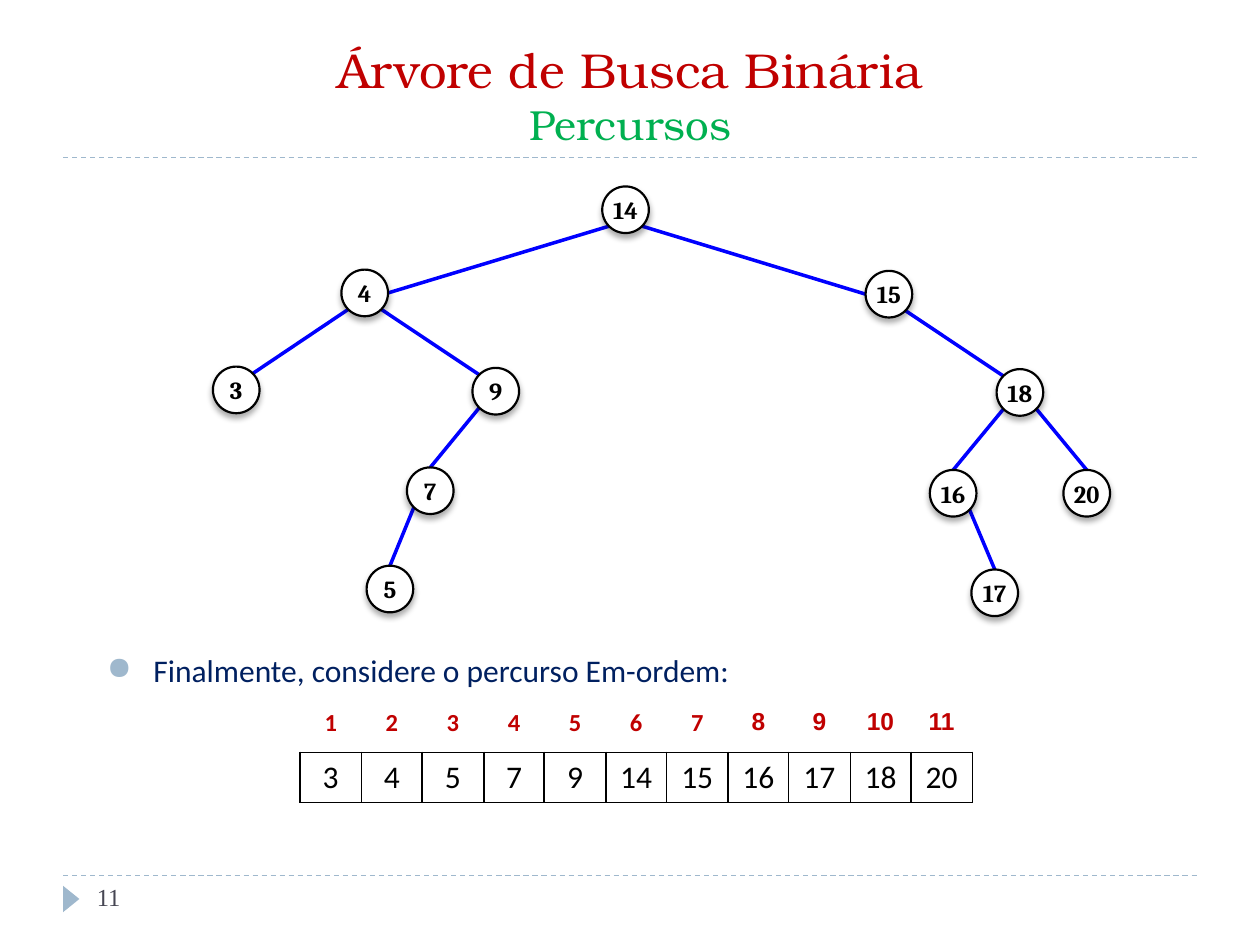
"""Build the slide on in-order traversal of a binary search tree."""
import pptx
import pptx.util
import pptx.dml.color
import pptx.enum.dml
import pptx.enum.shapes
import pptx.enum.text
import pptx.oxml

Inches, Pt = pptx.util.Inches, pptx.util.Pt
RGB = pptx.dml.color.RGBColor
Kind = pptx.enum.shapes.MSO_SHAPE
Align = pptx.enum.text.PP_ALIGN
Anchor = pptx.enum.text.MSO_ANCHOR
SPACE = 'xmlns:a="http://schemas.openxmlformats.org/drawingml/2006/main"'

BLACK, WHITE = RGB(0, 0, 0), RGB(255, 255, 255)
RED, GREEN = RGB(0xC0, 0, 0), RGB(0, 0xB0, 0x50)
NAVY, BLUE = RGB(0, 0x20, 0x60), RGB(0, 0, 255)
STEEL, SLATE = RGB(0x9F, 0xB8, 0xCD), RGB(0x46, 0x46, 0x53)

TITLE = [("Árvore de Busca Binária", 28, RED), ("Percursos", 24, GREEN)]
LEAD = "Finalmente, considere o percurso Em-ordem:"
PAGE = "11"
RULES = [1.25, 6.95]
SIZE = 0.37
NODES = {
    14: (4.78, 1.48), 4: (2.71, 2.14), 15: (6.87, 2.15), 3: (1.69, 2.91),
    9: (3.75, 2.92), 18: (7.91, 2.93), 7: (3.23, 3.71), 16: (7.38, 3.73),
    20: (8.44, 3.73), 5: (2.91, 4.49), 17: (7.71, 4.52),
}
EDGES = [
    (14, 4, "side"), (14, 15, "side"), (4, 3, "slant"), (4, 9, "slant"),
    (15, 18, "slant"), (9, 7, "top"), (18, 16, "top"), (18, 20, "top"),
    (7, 5, "top"), (16, 17, "top"),
]
PORTS = {"side": (0.5, 0), "slant": (0.35, -0.35), "top": (0, -0.5)}
ORDER = sorted(NODES)

NODE = {"size": Pt(14), "name": "Cambria", "bold": True}
HEAD = {"size": Pt(14), "name": "Calibri", "bold": True}
BODY = {"size": Pt(18), "name": "Calibri", "bold": False}
FOOT = {"size": Pt(14), "name": "Times New Roman"}


def write(para, text, style, color, align=Align.CENTER):
    run = para.add_run()
    run.text = text
    for key, value in style.items():
        setattr(run.font, key, value)
    run.font.color.rgb = color
    para.alignment = align


def link(shapes, start, end, color, width):
    line = shapes.add_connector(
        pptx.enum.shapes.MSO_CONNECTOR.STRAIGHT, *map(Inches, start + end))
    line.line.color.rgb = color
    line.line.width = Pt(width)
    line._element.spPr.append(pptx.oxml.parse_xml(f"<a:effectLst {SPACE}/>"))
    return line


def label(shapes, box, text, style, color, align):
    frame = shapes.add_textbox(*map(Inches, box)).text_frame
    frame.word_wrap = True
    write(frame.paragraphs[0], text, style, color, align)
    return frame.paragraphs[0]


def port(key, side, spot):
    across, down = spot
    left, top = NODES[key]
    return (left + SIZE * (0.5 + side * across), top + SIZE * (0.5 + down))


def draw_tree(shapes):
    for above, below, kind in EDGES:
        side = 1 if below > above else -1
        link(shapes, port(above, side, (0.35, 0.35)),
             port(below, -side, PORTS[kind]), BLUE, 2)
    for key, (left, top) in NODES.items():
        node = shapes.add_shape(Kind.OVAL, *map(Inches, (left, top, SIZE, SIZE)))
        node.fill.solid()
        node.fill.fore_color.rgb = WHITE
        node.line.color.rgb = BLACK
        node.line.width = Pt(1.25)
        node.shadow.inherit = False
        node._element.spPr[-1].append(pptx.oxml.parse_xml(
            f'<a:outerShdw {SPACE} blurRad="{Pt(3.5)}" dist="{Pt(2.2)}" '
            'dir="5400000" rotWithShape="0"><a:srgbClr val="000000">'
            '<a:alpha val="32000"/></a:srgbClr></a:outerShdw>'))
        frame = node.text_frame
        for edge in ("left", "right", "top", "bottom"):
            setattr(frame, "margin_" + edge, 0)
        frame.vertical_anchor = Anchor.MIDDLE
        frame.word_wrap = False
        write(frame.paragraphs[0], str(key), NODE, BLACK)


def frame_cell(cell, sides):
    cell.fill.background()
    props = cell._tc.get_or_add_tcPr()
    for spot, side in enumerate("LRTB"):
        paint = ('<a:solidFill><a:srgbClr val="000000"/></a:solidFill>'
                 if side in sides else "<a:noFill/>")
        props.insert(spot, pptx.oxml.parse_xml(
            f'<a:ln{side} {SPACE} w="{Pt(1)}">{paint}</a:ln{side}>'))


def draw_table(shapes):
    rows = [[""] + [str(i + 1) for i in range(len(ORDER))],
            [""] + [str(key) for key in ORDER]]
    wide = [0.39] + [0.49 if i % 2 == 0 else 0.48 for i in range(len(ORDER))]
    high = [0.37, 0.4]
    table = shapes.add_table(len(rows), len(wide), *map(
        Inches, (1.99, 5.57, sum(wide), sum(high)))).table
    table.first_row = table.horz_banding = False
    for col, width in zip(table.columns, wide):
        col.width = Inches(width)
    for r, row in enumerate(rows):
        table.rows[r].height = Inches(high[r])
        for c, text in enumerate(row):
            cell = table.cell(r, c)
            style = dict(BODY if r else HEAD)
            if r == 0 and c > 7:
                style["name"] = "Arial"
            if r:
                cell.vertical_anchor = Anchor.MIDDLE
            write(cell.text_frame.paragraphs[0], text, style, BLACK if r else RED)
            frame_cell(cell, ("LRTB" if c else "R") if r else ("B" if c else ""))


def main():
    deck = pptx.Presentation()
    deck.slide_width, deck.slide_height = Inches(10), Inches(7.5)
    slide = deck.slides.add_slide(deck.slide_layouts[5])
    shapes = slide.shapes

    for y in RULES:
        rule = link(shapes, (0.5, y), (9.5, y), STEEL, 0.75)
        rule.line.dash_style = pptx.enum.dml.MSO_LINE.DASH
    mark = shapes.add_shape(
        Kind.ISOSCELES_TRIANGLE, *map(Inches, (0.46, 7.07, 0.21, 0.13)))
    mark.rotation = 90
    mark.fill.solid()
    mark.fill.fore_color.rgb = STEEL
    mark.line.fill.background()
    mark.shadow.inherit = False

    title = shapes.title
    title.left, title.top, title.width, title.height = map(
        Inches, (0.5, 0.25, 9, 1))
    title.text_frame.vertical_anchor = Anchor.MIDDLE
    para = title.text_frame.paragraphs[0]
    for i, (text, size, color) in enumerate(TITLE):
        if i:
            para.add_line_break()
        write(para, text, {"size": Pt(size), "name": "TeX Gyre Bonum"}, color)

    label(shapes, (0.67, 6.95, 2.17, 0.4), PAGE, FOOT, SLATE, Align.LEFT)
    lead = label(shapes, (0.75, 5.12, 8.5, 0.45), LEAD, BODY, NAVY, Align.JUSTIFY)
    props = lead._p.get_or_add_pPr()
    props.set("marL", str(Inches(0.37)))
    props.set("indent", str(Inches(-0.37)))
    for part in (f'<a:buClr {SPACE}><a:srgbClr val="{STEEL}"/></a:buClr>',
                 f'<a:buChar {SPACE} char="●"/>'):
        props.append(pptx.oxml.parse_xml(part))

    draw_tree(shapes.add_group_shape().shapes)
    draw_table(shapes)
    deck.save("out.pptx")


if __name__ == "__main__":
    main()
